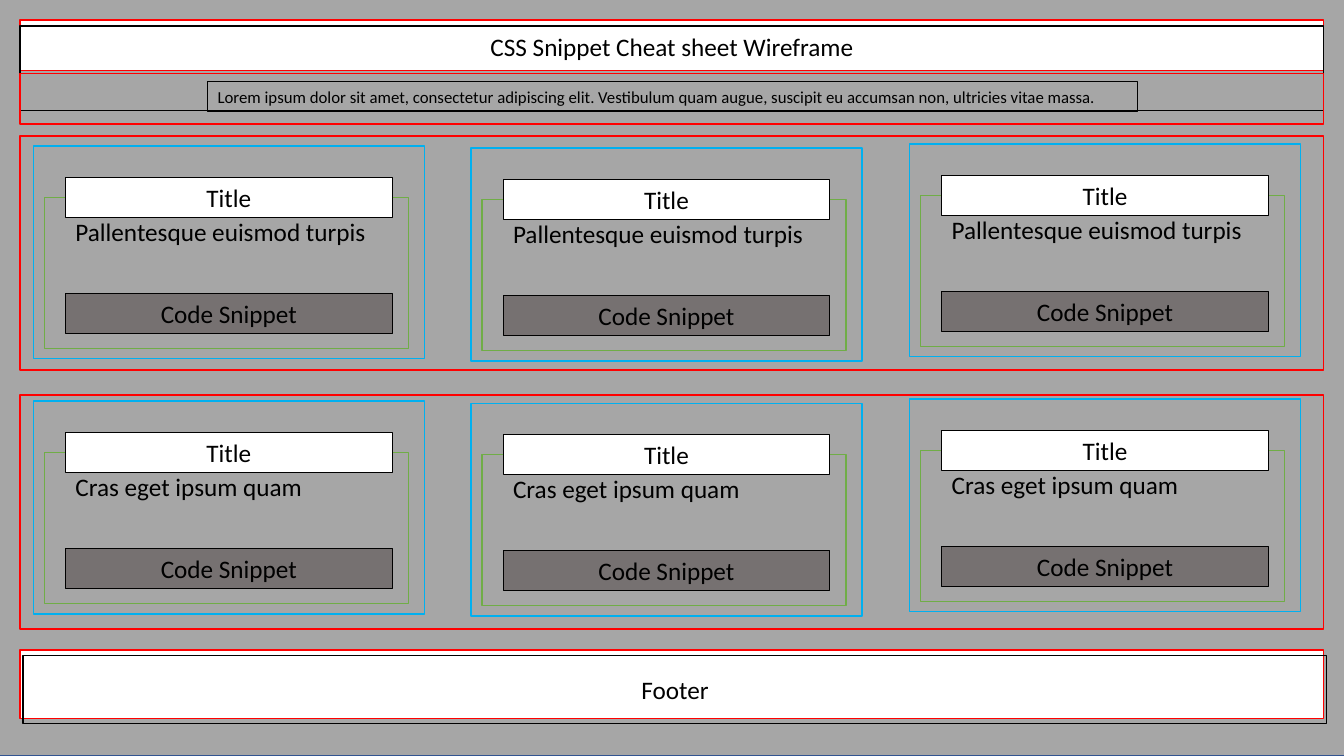
import pptx
import pptx.dml.color
import pptx.enum.shapes
import pptx.enum.text
import pptx.util

EMU_PER_PX = 9144  # 100 px to the inch
BLACK, WHITE, RED = "000000", "FFFFFF", "FF0000"
BACKDROP, BACKDROP_EDGE = "A6A6A6", "325491"
CARD_BLUE, BODY_GREEN, CODE_GRAY = "00B0F0", "70AD47", "767171"

CARD_CORNERS = [(33, 145), (467, 147), (902, 143)]
ROW_STEP = 253
ROW_TEXTS = ["Pallentesque euismod turpis", "Cras eget ipsum quam"]
INTRO = ("Lorem ipsum dolor sit amet, consectetur adipiscing elit. "
         "Vestibulum quam augue, suscipit eu accumsan non, ultricies vitae massa.")


def px(length):
    return pptx.util.Emu(length * EMU_PER_PX)


def color(hex_string):
    return pptx.dml.color.RGBColor.from_string(hex_string)


def paint(shape, fill, line, width):
    if fill:
        shape.fill.solid()
        shape.fill.fore_color.rgb = color(fill)
    else:
        shape.fill.background()
    shape.line.color.rgb = color(line)
    shape.line.width = pptx.util.Pt(width)


def write(shape, text, size=18, centered=True, grow=True, wrap=True):
    frame = shape.text_frame
    frame.word_wrap = wrap
    frame.margin_left = frame.margin_right = px(10)
    frame.margin_top = frame.margin_bottom = px(5)
    anchors = pptx.enum.text.MSO_ANCHOR
    frame.vertical_anchor = anchors.TOP if grow else anchors.MIDDLE
    fits = pptx.enum.text.MSO_AUTO_SIZE
    frame.auto_size = fits.SHAPE_TO_FIT_TEXT if grow else fits.NONE
    paragraph = frame.paragraphs[0]
    aligns = pptx.enum.text.PP_ALIGN
    paragraph.alignment = aligns.CENTER if centered else aligns.LEFT
    run = paragraph.add_run()
    run.text = text
    run.font.name = "Calibri"
    run.font.size = pptx.util.Pt(size)
    run.font.color.rgb = color(BLACK)


def add_box(slide, left, top, width, height, line, fill=None, weight=1):
    box = slide.shapes.add_shape(pptx.enum.shapes.MSO_SHAPE.RECTANGLE,
                                 px(left), px(top), px(width), px(height))
    box.shadow.inherit = False
    paint(box, fill, line, weight)
    return box


def add_heading(slide, text):
    """Place the title placeholder in front of everything drawn so far."""
    heading = slide.shapes.title
    heading.left, heading.top = px(20), px(26)
    heading.width, heading.height = px(1293), px(40)
    paint(heading, None, BLACK, 1)
    write(heading, text)
    heading.element.getparent().append(heading.element)


def add_card(slide, left, top, text):
    add_box(slide, left, top, 388, 211, CARD_BLUE)
    add_box(slide, left + 11, top + 51, 361, 150, BODY_GREEN)
    inner = left + 32
    body = slide.shapes.add_textbox(px(inner), px(top + 65), px(324), px(40))
    write(body, text, centered=False)
    for label, offset, fill in [("Title", 31, WHITE),
                                ("Code Snippet", 146, CODE_GRAY)]:
        bar = add_box(slide, inner, top + offset, 324, 40, BLACK, fill, 0.75)
        write(bar, label)


def main():
    deck = pptx.Presentation()
    deck.slide_width, deck.slide_height = px(1333), px(750)
    slide = deck.slides.add_slide(deck.slide_layouts[5])

    add_box(slide, -3, -3, 1337, 753, BACKDROP_EDGE, BACKDROP)
    add_box(slide, 20, 20, 1293, 50, RED, WHITE)
    add_heading(slide, "CSS Snippet Cheat sheet Wireframe")
    add_box(slide, 20, 73, 1293, 50, RED)
    intro = add_box(slide, 206, 81, 922, 30, BLACK, weight=0.75)
    write(intro, INTRO, size=12, centered=False)

    for top, height, fill in [(135, 232, None), (392, 232, None), (645, 68, WHITE)]:
        add_box(slide, 20, top, 1293, height, RED, fill)
    for row, text in enumerate(ROW_TEXTS):
        for left, top in CARD_CORNERS:
            add_card(slide, left, top + row * ROW_STEP, text)

    footer = add_box(slide, 23, 650, 1293, 68, BLACK)
    write(footer, "Footer", grow=False)
    deck.save("out.pptx")


if __name__ == "__main__":
    main()
